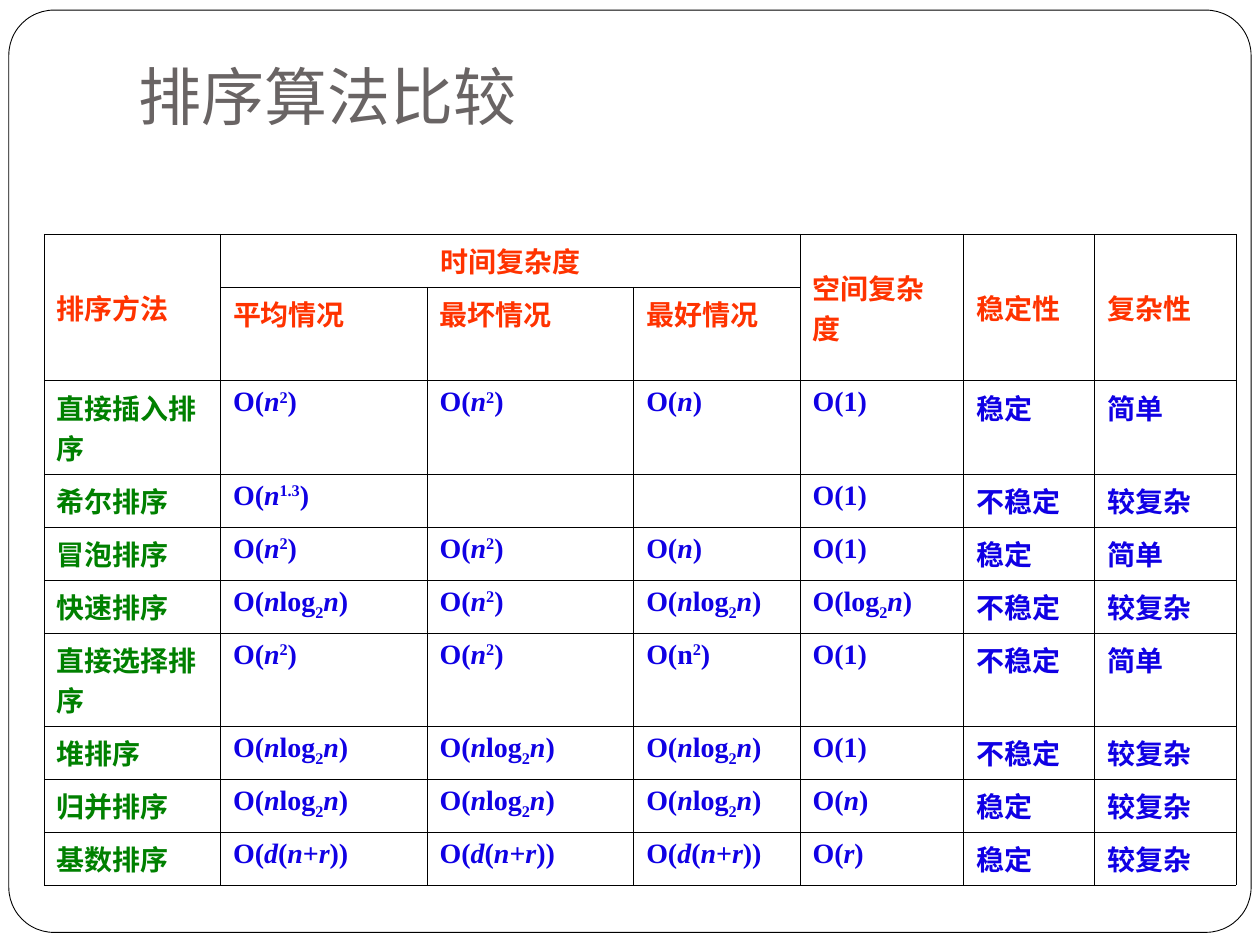
from dataclasses import dataclass

from lxml.etree import SubElement
from pptx import Presentation
from pptx.dml.color import RGBColor
from pptx.enum.shapes import MSO_SHAPE
from pptx.enum.text import MSO_ANCHOR, MSO_AUTO_SIZE, PP_ALIGN
from pptx.oxml.ns import qn
from pptx.util import Inches, Pt

TITLE = "排序算法比较"
HEADERS = [
    ["排序方法", "时间复杂度", "", "", "空间复杂度", "稳定性", "复杂性"],
    ["", "平均情况", "最坏情况", "最好情况", "", "", ""],
]
CONSTANT = "O(1)"
LINEAR = "O(*n*)"
SQUARE = "O(*n*^2^)"
LOG_LINEAR = "O(*n*log_2_*n*)"
RADIX = "O(*d*(*n*+*r*))"
ALGORITHMS = [
    ["直接插入排序", SQUARE, SQUARE, LINEAR, CONSTANT, "稳定", "简单"],
    ["希尔排序", "O(*n*^1.3^)", "", "", CONSTANT, "不稳定", "较复杂"],
    ["冒泡排序", SQUARE, SQUARE, LINEAR, CONSTANT, "稳定", "简单"],
    ["快速排序", LOG_LINEAR, SQUARE, LOG_LINEAR, "O(log_2_*n*)", "不稳定", "较复杂"],
    ["直接选择排序", SQUARE, SQUARE, "O(n^2^)", CONSTANT, "不稳定", "简单"],
    ["堆排序", LOG_LINEAR, LOG_LINEAR, LOG_LINEAR, CONSTANT, "不稳定", "较复杂"],
    ["归并排序", LOG_LINEAR, LOG_LINEAR, LOG_LINEAR, LINEAR, "稳定", "较复杂"],
    ["基数排序", RADIX, RADIX, RADIX, "O(*r*)", "稳定", "较复杂"],
]
COLUMN_WIDTHS = [1.4, 1.64, 1.64, 1.32, 1.3, 1.04, 1.12]
ROW_HEIGHTS = [0.37, 0.73, 0.63, 0.37, 0.37, 0.4, 0.63, 0.4, 0.4, 0.37]
MERGES = [((0, 1), (0, 3))] + [((0, column), (1, column)) for column in (0, 4, 5, 6)]
BASELINES = {"^": "30000", "_": "-25000"}


@dataclass(frozen=True)
class Theme:
    title_font: str = "Cabin"
    table_font: str = "Times New Roman"
    title_size: float = 36
    table_size: float = 16
    frame_width: float = 0.5
    border_width: float = 0.45
    title: str = "696464"
    header: str = "FF3300"
    method: str = "008000"
    value: str = "1000E4"
    line: str = "000000"
    paper: str = "FFFFFF"


THEME = Theme()


def color(value):
    return RGBColor.from_string(value)


def split_markup(text):
    pieces, mark, current = [], "", ""
    for character in text:
        if character in "*^_":
            pieces.append((current, mark))
            mark = "" if mark else character
            current = ""
        else:
            current += character
    pieces.append((current, mark))
    return [piece for piece in pieces if piece[0]]


def add_frame(slide):
    shape = slide.shapes.add_shape(
        MSO_SHAPE.ROUNDED_RECTANGLE, Inches(0.07), Inches(0.08), Inches(9.86), Inches(7.32))
    shape.adjustments[0] = 0.049
    shape.shadow.inherit = False
    shape.fill.solid()
    shape.fill.fore_color.rgb = color(THEME.paper)
    shape.line.color.rgb = color(THEME.line)
    shape.line.width = Pt(THEME.frame_width)
    slide.shapes.element.insert(2, shape.element)


def set_title(slide):
    title = slide.shapes.title
    title.left, title.top = Inches(1), Inches(0.21)
    title.width, title.height = Inches(8.5), Inches(0.95)
    frame = title.text_frame
    frame.text = TITLE
    frame.auto_size = MSO_AUTO_SIZE.NONE
    frame.vertical_anchor = MSO_ANCHOR.BOTTOM
    frame.margin_bottom = Inches(0.1)
    paragraph = frame.paragraphs[0]
    paragraph.alignment = PP_ALIGN.LEFT
    font = paragraph.runs[0].font
    font.name, font.size = THEME.title_font, Pt(THEME.title_size)
    font.color.rgb = color(THEME.title)


def set_borders(cell):
    properties = cell._tc.get_or_add_tcPr()
    for side in ("a:lnL", "a:lnR", "a:lnT", "a:lnB"):
        line = SubElement(properties, qn(side), w=str(Pt(THEME.border_width)))
        fill = SubElement(line, qn("a:solidFill"))
        SubElement(fill, qn("a:srgbClr"), val=THEME.line)


def write_cell(cell, text, text_color):
    paragraph = cell.text_frame.paragraphs[0]
    for piece, mark in split_markup(text):
        run = paragraph.add_run()
        run.text = piece
        font = run.font
        font.name, font.size, font.bold = THEME.table_font, Pt(THEME.table_size), True
        font.color.rgb = color(text_color)
        if mark == "*":
            font.italic = True
        elif mark:
            run._r.get_or_add_rPr().set("baseline", BASELINES[mark])


def add_comparison_table(slide):
    rows = HEADERS + ALGORITHMS
    table = slide.shapes.add_table(
        len(rows), len(COLUMN_WIDTHS), Inches(0.35), Inches(1.86),
        Inches(sum(COLUMN_WIDTHS)), Inches(sum(ROW_HEIGHTS))).table
    table.first_row = table.horz_banding = False
    for column, width in zip(table.columns, COLUMN_WIDTHS):
        column.width = Inches(width)
    for row, height in zip(table.rows, ROW_HEIGHTS):
        row.height = Inches(height)
    for row_index, row in enumerate(rows):
        for column_index, text in enumerate(row):
            cell = table.cell(row_index, column_index)
            set_borders(cell)
            cell.fill.background()
            if row_index < len(HEADERS):
                text_color = THEME.header
            else:
                text_color = THEME.value if column_index else THEME.method
            write_cell(cell, text, text_color)
    for start, end in MERGES:
        cell = table.cell(*start)
        cell.merge(table.cell(*end))
        if start[0] == end[0]:
            cell.text_frame.paragraphs[0].alignment = PP_ALIGN.CENTER
        else:
            cell.vertical_anchor = MSO_ANCHOR.MIDDLE
    table.cell(3, 6).vertical_anchor = MSO_ANCHOR.MIDDLE


def main():
    presentation = Presentation()
    presentation.slide_width, presentation.slide_height = Inches(10), Inches(7.5)
    slide = presentation.slides.add_slide(presentation.slide_layouts[5])
    add_frame(slide)
    set_title(slide)
    add_comparison_table(slide)
    presentation.save("out.pptx")


if __name__ == "__main__":
    main()
